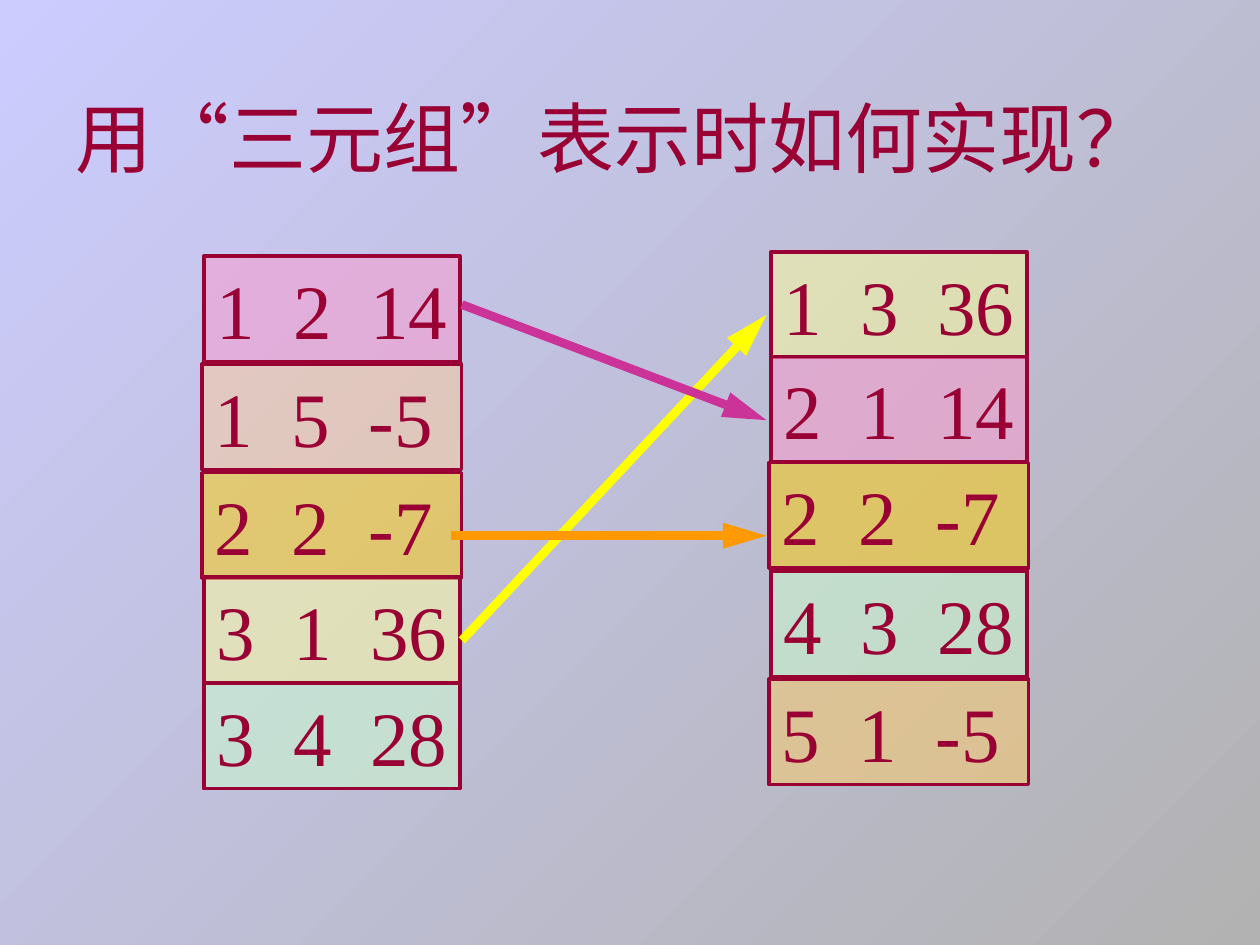
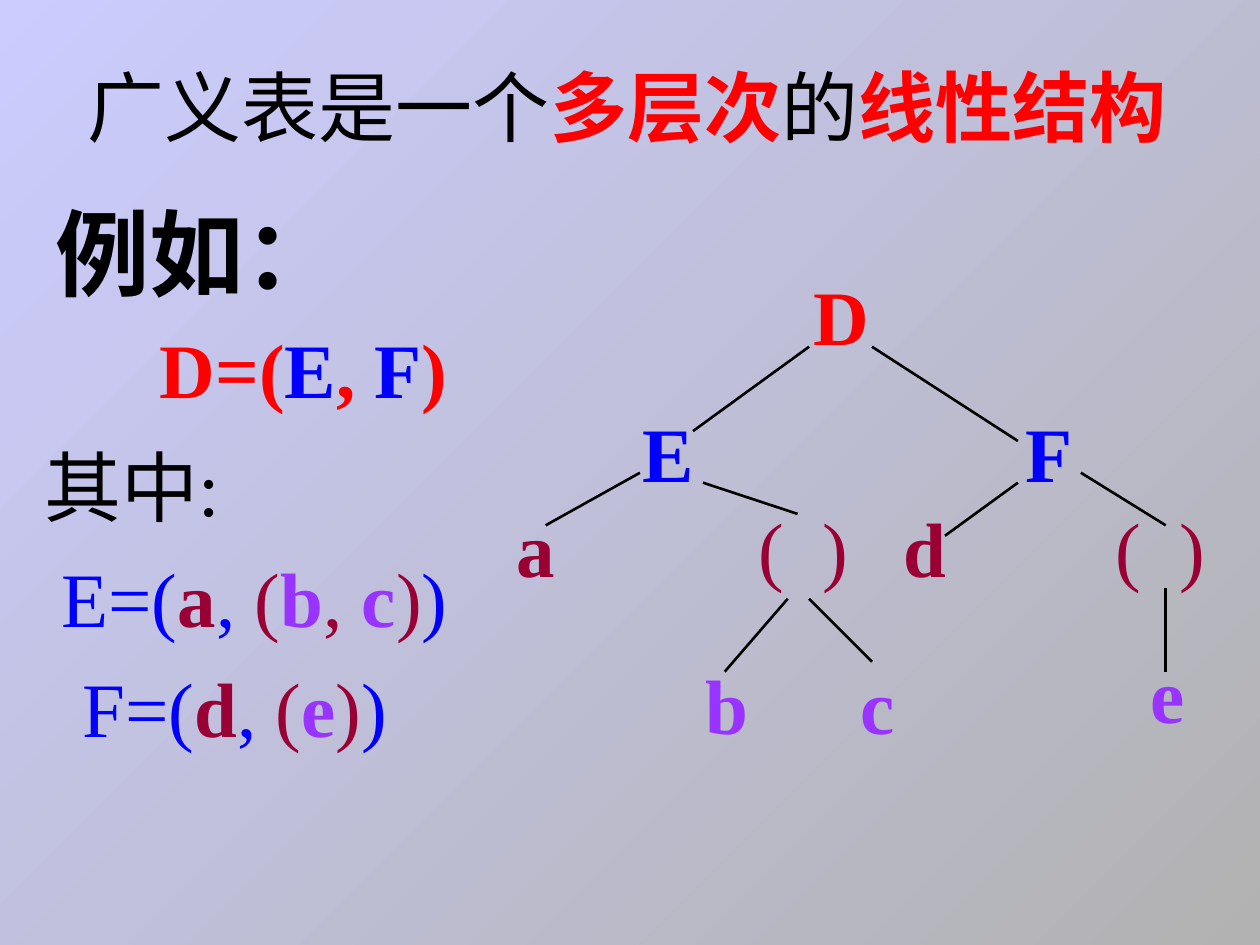
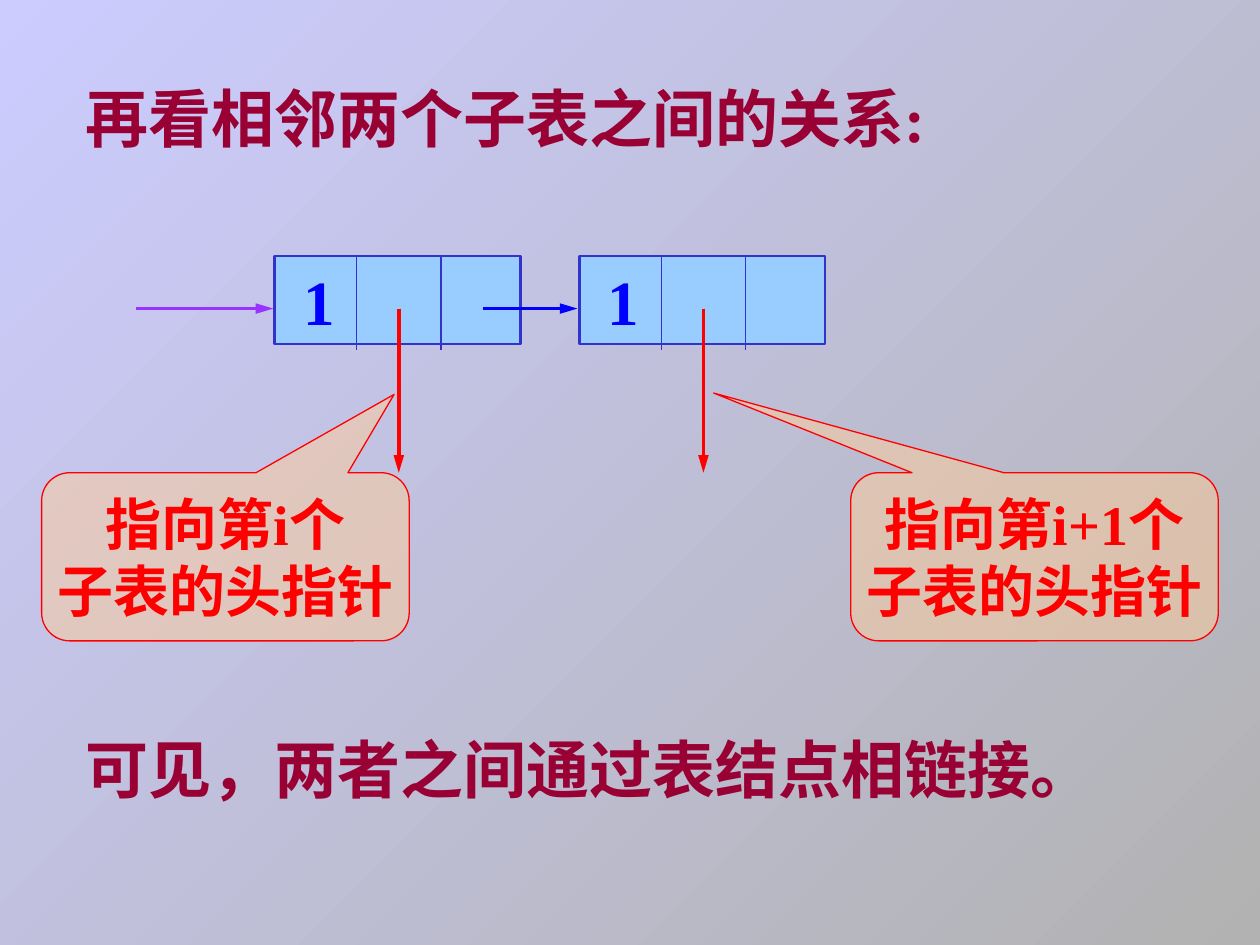
from dataclasses import dataclass

from lxml.etree import SubElement
from pptx import Presentation
from pptx.dml.color import RGBColor
from pptx.enum.shapes import MSO_CONNECTOR, MSO_SHAPE
from pptx.enum.text import MSO_ANCHOR, MSO_AUTO_SIZE, PP_ALIGN
from pptx.oxml.ns import qn
from pptx.util import Cm, Pt


@dataclass(frozen=True)
class Theme:
    latin: str = "Times New Roman"
    cjk: str = "Noto Sans CJK SC"
    wine: str = "990033"
    red: str = "FF0000"
    blue: str = "0000FF"
    violet: str = "9933FF"
    black: str = "000000"
    pink: str = "FF99CC"
    peach: str = "FFCC99"
    gold: str = "FFCC00"
    cream: str = "FFFF99"
    mint: str = "CCFFCC"
    sand: str = "FFCC66"
    yellow: str = "FFFF00"
    magenta: str = "CC3399"
    orange: str = "FF9900"
    node_fill: str = "99CCFF"
    node_line: str = "3333CC"
    back_dark: str = "B2B2B2"
    back_light: str = "CCCCFF"
    example: int = 54
    body: int = 44
    heading: int = 36
    note: int = 32


T = Theme()

# Content: triples as (top, values, fill); arrows as (start, end, colour)
TRIPLE_TITLE = "用“三元组”表示时如何实现？"
TRIPLE_COLUMNS = {
    6.69: [
        (5.16, (1, 2, 14), T.pink),
        (7.34, (1, 5, -5), T.peach),
        (9.53, (2, 2, -7), T.gold),
        (11.63, (3, 1, 36), T.cream),
        (13.77, (3, 4, 28), T.mint),
    ],
    18.12: [
        (5.08, (1, 3, 36), T.cream),
        (7.19, (2, 1, 14), T.pink),
        (9.32, (2, 2, -7), T.gold),
        (11.51, (4, 3, 28), T.mint),
        (13.69, (5, 1, -5), T.sand),
    ],
}
TRIPLE_ARROWS = [
    ((9.31, 12.91), (15.45, 6.35), T.yellow),
    ((9.31, 6.14), (15.45, 8.47), T.magenta),
    ((9.1, 10.8), (15.45, 10.8), T.orange),
]

# Content: a run is (text, colour, bold)
LIST_TITLE = [("广义表是一个", T.black, False), ("多层次", T.red, True),
              ("的", T.black, False), ("线性结构", T.red, True)]
LIST_D = [("D=(", T.red, True), ("E", T.blue, True), (", ", T.red, True),
          ("F", T.blue, True), (")", T.red, True)]
LIST_E = [("E=(", T.blue, False), ("a", T.wine, True), (", ", T.blue, False),
          ("(", T.wine, False), ("b", T.violet, True), (", ", T.wine, False),
          ("c", T.violet, True), (")", T.wine, False), (")", T.blue, False)]
LIST_F = [("F=(", T.blue, False), ("d", T.wine, True), (",", T.blue, False),
          (" (", T.wine, False), ("e", T.violet, True),
          (")", T.wine, False), (")", T.blue, False)]
TREE_NODES = [  # text, left, top, width, colour
    ("D", 16.15, 5.28, 1.63, T.red),
    ("E", 12.7, 8.05, 1.55, T.blue),
    ("F", 20.42, 8.05, 1.45, T.blue),
    ("a", 10.16, 9.96, 1.27, T.wine),
    ("(  )", 15.04, 9.96, 2.31, T.wine),
    ("d", 17.96, 9.96, 1.37, T.wine),
    ("(  )", 22.23, 9.96, 2.31, T.wine),
    ("b", 13.97, 13.13, 1.37, T.violet),
    ("c", 17.09, 13.13, 1.19, T.violet),
    ("e", 22.94, 12.9, 1.19, T.violet),
]
TREE_EDGES = [
    ((16.31, 6.99), (13.97, 8.69)),
    ((17.58, 6.99), (20.52, 8.89)),
    ((12.9, 9.53), (11, 10.59)),
    ((14.17, 9.73), (16.08, 10.36)),
    ((15.88, 12.07), (14.61, 13.54)),
    ((16.31, 12.07), (17.58, 13.34)),
    ((20.52, 9.73), (19.05, 10.8)),
    ((21.79, 9.53), (23.5, 10.59)),
    ((23.5, 11.86), (23.5, 13.54)),
]

SUBLIST_LINES = [(1.47, "再看相邻两个子表之间的关系:"),
                 (14.61, "可见，两者之间通过表结点相链接。")]
NODE_LEFTS = (5.54, 11.68)
NODE_TOP, NODE_WIDTH, NODE_HEIGHT = 5.16, 4.95, 1.78
LINK_Y = 6.22
CALLOUTS = [  # left, lines, pointer tip
    (17.15, ("指向第i+1个", "子表的头指针"), (-0.873, -0.974)),
    (0.84, ("指向第i个", "子表的头指针"), (0.459, -0.966)),
]


def write(frame, *lines, size=T.body, color=T.wine, bold=False, font=T.latin,
          align=PP_ALIGN.LEFT, spacing=None, indents=(), wrap=True, grow=True,
          anchor=MSO_ANCHOR.TOP):
    """Fill a frame; each line is a string or a list of (text, colour, bold)."""
    frame.word_wrap = wrap
    frame.auto_size = MSO_AUTO_SIZE.SHAPE_TO_FIT_TEXT if grow else MSO_AUTO_SIZE.NONE
    frame.vertical_anchor = anchor
    if align == PP_ALIGN.LEFT:
        frame.margin_right = 0  # spare room keeps tight lines unbroken
    for i, line in enumerate(lines):
        paragraph = frame.add_paragraph() if i else frame.paragraphs[0]
        paragraph.alignment = align
        if spacing:
            paragraph.line_spacing = spacing
        if indents:
            paragraph._p.get_or_add_pPr().set("marL", str(Cm(indents[i])))
        runs = [(line, color, bold)] if isinstance(line, str) else line
        for text, run_color, run_bold in runs:
            run = paragraph.add_run()
            run.text = text
            run.font.size = Pt(size)
            run.font.bold = run_bold
            run.font.color.rgb = RGBColor.from_string(run_color)
            run.font.name = font
            SubElement(run._r.get_or_add_rPr(), qn("a:ea"), typeface=T.cjk)


def label(slide, left, top, width, height, *lines, **fmt):
    box = slide.shapes.add_textbox(Cm(left), Cm(top), Cm(width), Cm(height))
    write(box.text_frame, *lines, **fmt)


def panel(slide, kind, left, top, width, height, fill, line, weight, alpha=None):
    shape = slide.shapes.add_shape(kind, Cm(left), Cm(top), Cm(width), Cm(height))
    shape.shadow.inherit = False
    shape.fill.solid()
    shape.fill.fore_color.rgb = RGBColor.from_string(fill)
    if alpha:
        solid = shape._element.spPr.find(qn("a:solidFill"))
        SubElement(solid[0], qn("a:alpha"), val=str(alpha * 1000))
    shape.line.color.rgb = RGBColor.from_string(line)
    shape.line.width = Pt(weight)
    return shape


def connect(slide, start, end, color, weight, arrow=False):
    link = slide.shapes.add_connector(
        MSO_CONNECTOR.STRAIGHT, *(Cm(v) for v in (*start, *end)))
    link.line.color.rgb = RGBColor.from_string(color)
    link.line.width = Pt(weight)
    properties = link._element.spPr
    if arrow:
        SubElement(properties.find(qn("a:ln")), qn("a:tailEnd"),
                   type="triangle", w="med", len="lg")
    SubElement(properties, qn("a:effectLst"))


def paint_background(master):
    fill = master.background.fill
    fill.gradient()
    fill.gradient_angle = 135
    for stop, color in zip(fill.gradient_stops, (T.back_dark, T.back_light)):
        stop.color.rgb = RGBColor.from_string(color)


def triples_slide(slide):
    label(slide, 1.27, 1.7, 22.25, 2.13, TRIPLE_TITLE)
    for center, rows in TRIPLE_COLUMNS.items():
        for top, values, fill in rows:
            width = 5.23 if values[-1] < 0 else 5.16
            row = panel(slide, MSO_SHAPE.RECTANGLE, center - width / 2, top,
                        width, 2.13, fill, T.wine, 2, alpha=50)
            write(row.text_frame, "  ".join(map(str, values)))
    for start, end, color in TRIPLE_ARROWS:
        connect(slide, start, end, color, 5, arrow=True)


def tree_slide(slide):
    # Definitions
    label(slide, 1.52, 1.07, 22.25, 2.13, LIST_TITLE)
    label(slide, 0.86, 3.81, 6.22, 2.54, "例如：",
          size=T.example, color=T.black, bold=True)
    label(slide, 2.97, 6.35, 6.3, 2.13, LIST_D)
    label(slide, 0.64, 8.36, 9.07, 6.96, [("其中:", T.black, False)],
          LIST_E, LIST_F, spacing=1.2, indents=(0, 0.35, 0.77))
    # Tree
    for text, left, top, width, color in TREE_NODES:
        label(slide, left, top, width, 2.13, text, color=color,
              bold=text.isalpha())
    for start, end in TREE_EDGES:
        connect(slide, start, end, T.black, 1.5)


def sublists_slide(slide):
    for top, text in SUBLIST_LINES:
        label(slide, 1.47, top, 22.58, 1.78, text, size=T.heading, bold=True)
    # Linked nodes
    connect(slide, (2.74, LINK_Y), (5.51, LINK_Y), T.violet, 2, arrow=True)
    for left in NODE_LEFTS:
        node = panel(slide, MSO_SHAPE.RECTANGLE, left, NODE_TOP, NODE_WIDTH,
                     NODE_HEIGHT, T.node_fill, T.node_line, 1.5)
        write(node.text_frame, "1", size=T.heading, color=T.blue, bold=True,
              indents=(0.32,), grow=False)
        for divider in (left + 1.65, left + 3.35):
            connect(slide, (divider, NODE_TOP), (divider, 7.06), T.node_line, 0.75)
        pointer = left + 2.5
        connect(slide, (pointer, LINK_Y), (pointer, 9.53), T.red, 2, arrow=True)
    connect(slide, (9.73, LINK_Y), (11.64, LINK_Y), T.blue, 2, arrow=True)
    # Callouts
    for left, lines, tip in CALLOUTS:
        callout = panel(slide, MSO_SHAPE.ROUNDED_RECTANGULAR_CALLOUT, left, 9.53,
                        7.41, 3.39, T.peach, T.red, 0.75, alpha=50)
        callout.adjustments[0], callout.adjustments[1] = tip
        write(callout.text_frame, *lines, size=T.note, color=T.red, bold=True,
              align=PP_ALIGN.CENTER, anchor=MSO_ANCHOR.MIDDLE, wrap=False,
              grow=False)


def main():
    deck = Presentation()
    deck.slide_width, deck.slide_height = Cm(25.4), Cm(19.05)
    paint_background(deck.slide_master)
    for build in (triples_slide, tree_slide, sublists_slide):
        build(deck.slides.add_slide(deck.slide_layouts[6]))
    deck.save("out.pptx")


if __name__ == "__main__":
    main()
